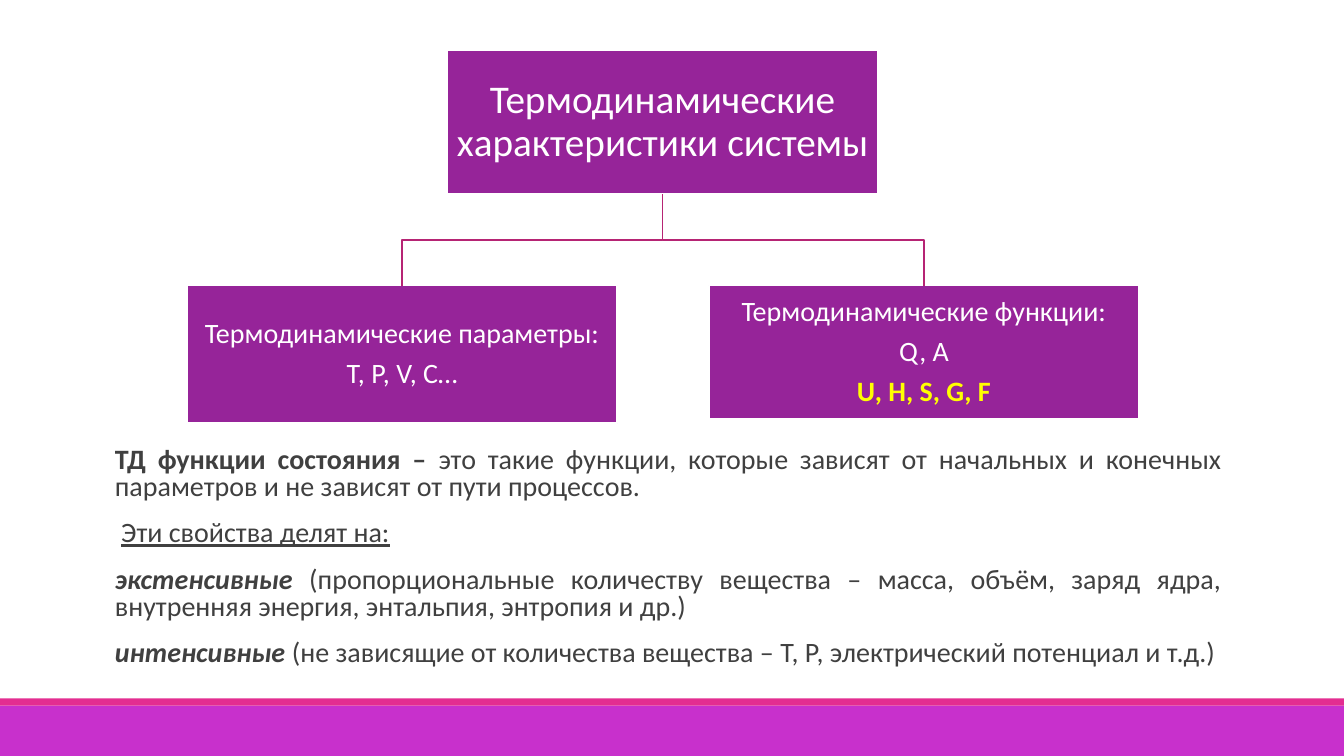
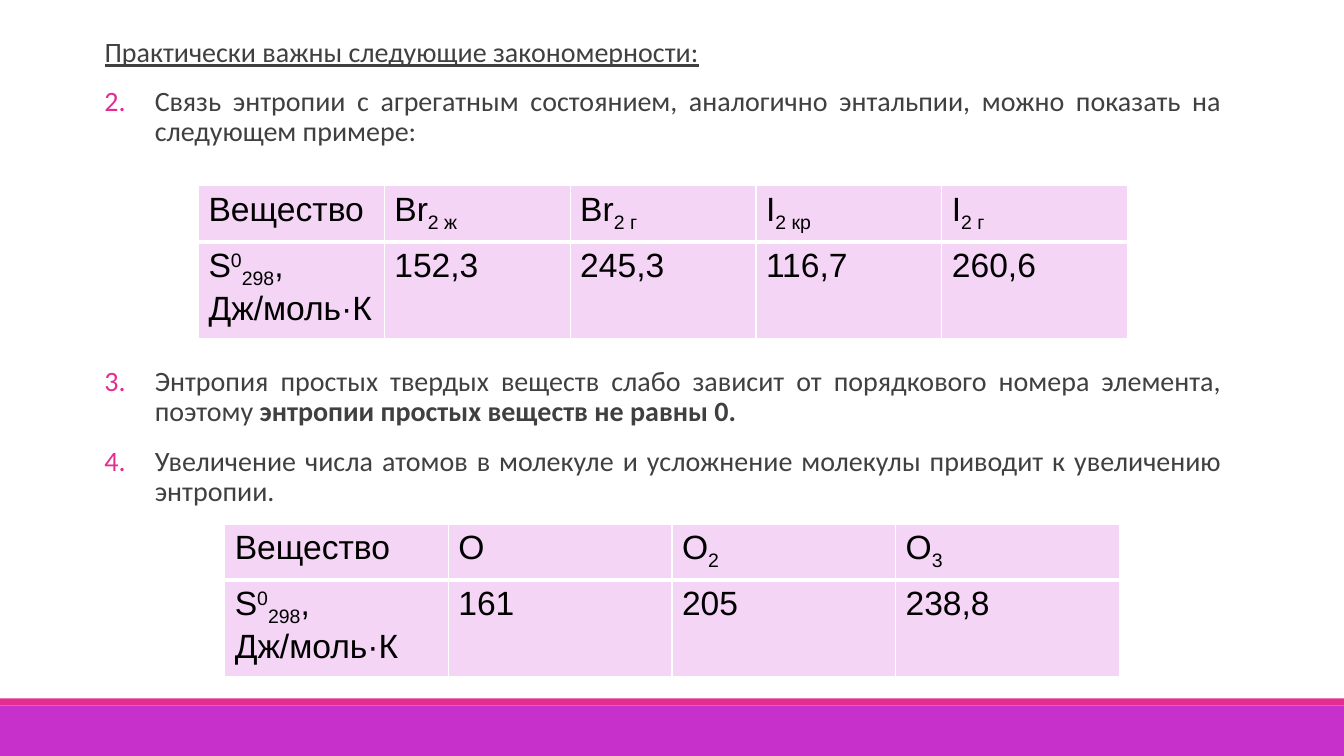
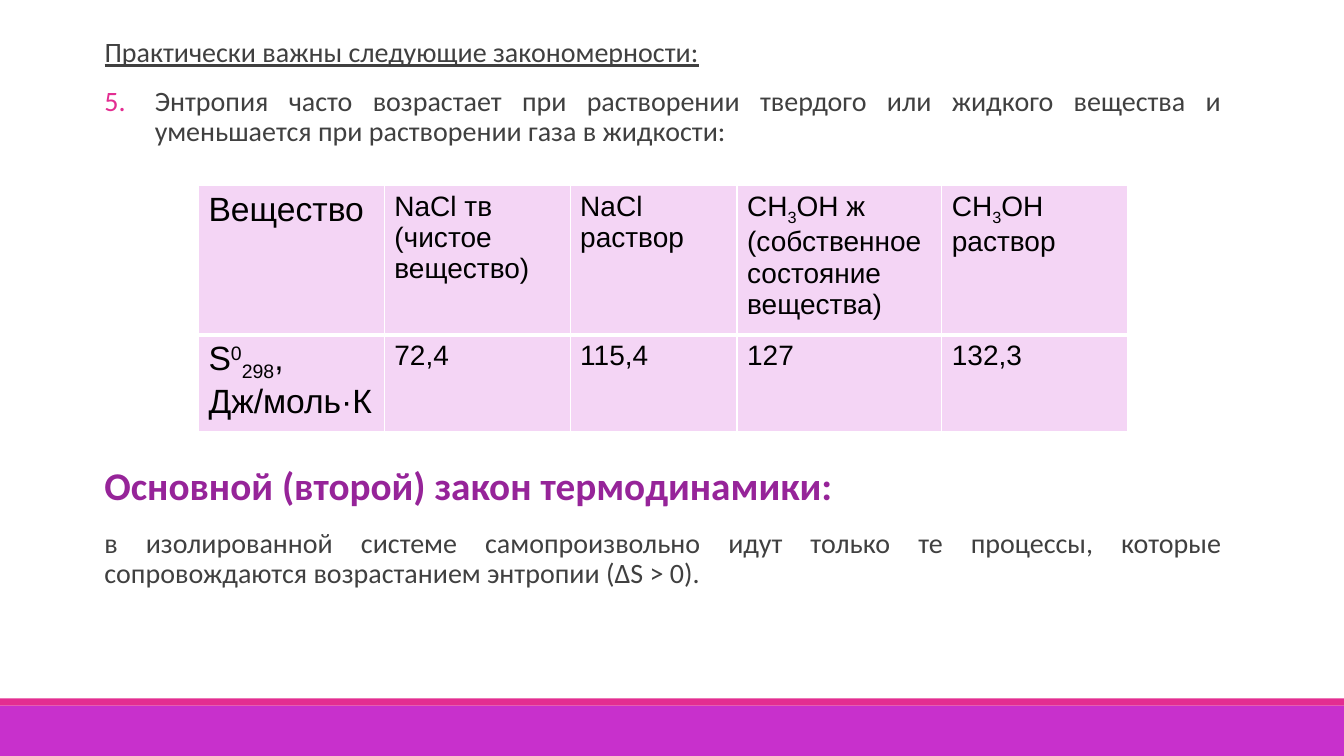
from dataclasses import dataclass, field

from lxml.etree import SubElement
from pptx import Presentation
from pptx.dml.color import RGBColor
from pptx.enum.shapes import MSO_CONNECTOR as Link, MSO_SHAPE as Form
from pptx.enum.text import MSO_ANCHOR as Anchor, MSO_AUTO_SIZE as Fit, PP_ALIGN as Align
from pptx.oxml.ns import qn
from pptx.util import Emu, Pt

PX = 9525
WHITE, BLACK, GRAY, YELLOW = "FFFFFF", "000000", "404040", "FFFF00"
PLUM, VIOLET, PINK, WINE, LILAC = "962499", "C830CC", "E32D91", "B62474", "F4D5F5"

BODY = {"name": "Calibri", "size": Pt(20), "color": GRAY, "bold": False}
BOX = BODY | {"color": WHITE}
GRID = {"name": "Arial", "size": Pt(24), "color": BLACK, "bold": False}
SMALL = {"size": Pt(20)}
BOLD = {"bold": True}
TERM = {"bold": True, "italic": True}
UNDER = {"underline": True}

LEFT, WIDE = 90, 1083
ROW = 39
HEAD = "Практически важны следующие закономерности:"


@dataclass
class Run:
    text: str
    look: dict = field(default_factory=dict)
    shift: int = 0


@dataclass
class Para:
    runs: list[Run]
    start: int = 0


@dataclass
class Node:
    left: int
    top: int
    high: int
    paras: list[Para]
    wide: int = 410

    @property
    def mid(self) -> int:
        return self.left + self.wide // 2

    @property
    def base(self) -> int:
        return self.top + self.high


@dataclass
class Grid:
    left: int
    top: int
    high: int
    cols: list[int]
    cells: list[list[list[Run]]]


def px(*nums: float) -> list[Emu]:
    return [Emu(int(num * PX)) for num in nums]


def rgb(code: str) -> RGBColor:
    return RGBColor.from_string(code)


def plain(text: str, look: dict | None = None) -> list[Run]:
    return [Run(text, look or {})]


def sub(text: str, look: dict | None = None) -> Run:
    return Run(text, look or {}, -25)


def style(font, look: dict) -> None:
    for key, val in look.items():
        if key == "color":
            font.color.rgb = rgb(val)
        else:
            setattr(font, key, val)


def put(para, runs: list[Run], base: dict) -> None:
    for item in runs:
        run = para.add_run()
        run.text = item.text
        style(run.font, base | item.look)
        if item.shift:
            run.font._element.set("baseline", str(item.shift * 1000))


def number(para, start: int) -> None:
    """Give a paragraph a hanging number in the accent colour."""
    props = para._p.get_or_add_pPr()
    step = 48 * PX
    props.set("marL", str(step))
    props.set("indent", str(-step))
    tint = SubElement(props, qn("a:buClr"))
    SubElement(tint, qn("a:srgbClr"), val=PINK)
    SubElement(props, qn("a:buAutoNum"), type="arabicPeriod", startAt=str(start))


def fill_text(frame, paras: list[Para], base: dict, align: Align, line: float, gap: int) -> None:
    frame.word_wrap = True
    for pos, item in enumerate(paras):
        para = frame.add_paragraph() if pos else frame.paragraphs[0]
        if item.start:
            number(para, item.start)
        para.alignment = align
        para.line_spacing = line
        para.space_before = Pt(gap if pos else 0)
        put(para, item.runs, base)


def add_text(slide, left: int, top: int, wide: int, high: int,
             paras: list[Para], line: float = 0.9) -> None:
    box = slide.shapes.add_textbox(*px(left, top, wide, high))
    fill_text(box.text_frame, paras, BODY, Align.JUSTIFY, line, 14)


def add_head(slide) -> None:
    title = slide.shapes.title
    title.left, title.top, title.width, title.height = px(LEFT, 32, WIDE, 40)
    frame = title.text_frame
    frame.auto_size = Fit.NONE
    frame.vertical_anchor = Anchor.TOP
    fill_text(frame, [Para(plain(HEAD, UNDER))], BODY, Align.LEFT, 0.9, 0)


def add_rect(slide, left: int, top: int, wide: int, high: int, color: str):
    rect = slide.shapes.add_shape(Form.RECTANGLE, *px(left, top, wide, high))
    rect.shadow.inherit = False
    rect.fill.solid()
    rect.fill.fore_color.rgb = rgb(color)
    rect.line.fill.background()
    return rect


def add_node(slide, node: Node):
    rect = add_rect(slide, node.left, node.top, node.wide, node.high, PLUM)
    rect.line.color.rgb = rgb(WHITE)
    rect.line.width = Pt(1.25)
    frame = rect.text_frame
    frame.vertical_anchor = Anchor.MIDDLE
    for side in ("left", "top", "right", "bottom"):
        setattr(frame, f"margin_{side}", Emu(2 * PX))
    fill_text(frame, node.paras, BOX, Align.CENTER, 0.9, 7)
    return rect


def add_elbow(slide, root: Node, kid: Node, top, rect) -> None:
    """Join root to kid by an elbow that is turned to leave downwards."""
    line = slide.shapes.add_connector(Link.ELBOW, *px(root.mid, root.base, kid.mid, kid.top))
    line.begin_connect(top, 2)
    line.end_connect(rect, 0)
    wide, high = kid.top - root.base, abs(kid.mid - root.mid)
    right = kid.mid > root.mid
    line.element.flipH = right
    line.rotation = 270 if right else 90
    x, y = (root.mid + kid.mid - wide) / 2, (root.base + kid.top - high) / 2
    line.left, line.top, line.width, line.height = px(x, y, wide, high)
    line.line.color.rgb = rgb(WINE)
    line.line.width = Pt(1.25)
    SubElement(line.element.spPr, qn("a:effectLst"))


def add_tree(slide, root: Node, kids: list[Node]) -> None:
    top = add_node(slide, root)
    for kid in kids:
        add_elbow(slide, root, kid, top, add_node(slide, kid))


def edge(cell, base: int) -> None:
    """Draw white cell borders, the bottom one as thick as given."""
    props = cell._tc.get_or_add_tcPr()
    for pos, (tag, wide) in enumerate((("lnL", 1), ("lnR", 1), ("lnT", 1), ("lnB", base))):
        line = SubElement(props, qn(f"a:{tag}"), w=str(Pt(wide)))
        tint = SubElement(SubElement(line, qn("a:solidFill")), qn("a:srgbClr"))
        tint.set("val", WHITE)
        props.insert(pos, line)


def add_grid(slide, grid: Grid) -> None:
    size = px(grid.left, grid.top, sum(grid.cols), grid.high)
    frame = slide.shapes.add_table(len(grid.cells), len(grid.cols), *size)
    table = frame.table
    table.first_row = table.horz_banding = False
    for col, wide in zip(table.columns, px(*grid.cols)):
        col.width = wide
    for row in table.rows:
        row.height = Emu(ROW * PX)
    frame.height = size[-1]
    for y, row in enumerate(grid.cells):
        for x, runs in enumerate(row):
            cell = table.cell(y, x)
            cell.fill.solid()
            cell.fill.fore_color.rgb = rgb(LILAC)
            edge(cell, 1 if y else 3)
            put(cell.text_frame.paragraphs[0], runs, GRID)


def add_bands(prs, slide) -> None:
    """Place the two footer bands on the master that all slides share."""
    bands = ((672, 48, VIOLET), (665, 7, PINK))
    for num, (top, high, color) in enumerate(bands, 90):
        band = add_rect(slide, 0, top, 1280, high, color)
        band.element.nvSpPr.cNvPr.id = num
        prs.slide_master.shapes.element.append(band.element)


NAME = plain("Вещество")
UNIT = [Run("S"), Run("0", shift=30), sub("298"), Run(", Дж/моль·К")]


def values(look: dict, *nums: str) -> list[list[Run]]:
    return [UNIT] + [plain(num, look) for num in nums]


def states(slide) -> None:
    root = Node(426, 48, 137, [Para(plain("Термодинамические характеристики системы", {"size": Pt(28)}))])
    kids = [
        Node(178, 272, 131, [Para(plain("Термодинамические параметры:")), Para(plain("Т, Р, V, С…"))]),
        Node(675, 272, 127, [Para(plain("Термодинамические функции:")), Para(plain("Q, A")),
                             Para(plain("U, H, S, G, F", BOLD | {"color": YELLOW}))]),
    ]
    add_tree(slide, root, kids)
    add_text(slide, LEFT + 10, 422, WIDE - 10, 235, [
        Para([Run("ТД функции состояния – ", BOLD),
              Run("это такие функции, которые зависят от начальных и конечных "
                  "параметров и не зависят от пути процессов.")]),
        Para([Run(" "), Run("Эти свойства делят на:", UNDER)]),
        Para([Run("экстенсивные", TERM),
              Run(" (пропорциональные количеству вещества – масса, объём, заряд ядра, "
                  "внутренняя энергия, энтальпия, энтропия и др.)")]),
        Para([Run("интенсивные ", TERM),
              Run("(не зависящие от количества вещества – Т, Р, электрический потенциал и т.д.)")]),
    ], 0.8)


def phases(slide) -> None:
    add_head(slide)
    add_text(slide, LEFT, 78, WIDE, 70, [
        Para(plain("Связь энтропии с агрегатным состоянием, аналогично энтальпии, "
                   "можно показать на следующем примере:"), 2)])
    add_text(slide, LEFT, 345, WIDE, 146, [
        Para([Run("Энтропия простых твердых веществ слабо зависит от порядкового номера элемента, поэтому "),
              Run("энтропии простых веществ не равны 0.", BOLD)], 3),
        Para(plain("Увеличение числа атомов в молекуле и усложнение молекулы "
                   "приводит к увеличению энтропии."), 3)])
    forms = (("Br", "2 ж"), ("Br", "2 г"), ("I", "2 кр"), ("I", "2 г"))
    add_grid(slide, Grid(189, 177, 134, [177] * 5, [
        [NAME] + [[Run(atom), sub(mark)] for atom, mark in forms],
        values({}, "152,3", "245,3", "116,7", "260,6")]))
    add_grid(slide, Grid(214, 499, 134, [213] * 4, [
        [NAME, plain("O"), [Run("O"), sub("2")], [Run("O"), sub("3")]],
        values({}, "161", "205", "238,8")]))


def second_law(slide) -> None:
    add_head(slide)
    add_text(slide, LEFT, 78, WIDE, 70, [
        Para(plain("Энтропия часто возрастает при растворении твердого или жидкого вещества "
                   "и уменьшается при растворении газа в жидкости:"), 5)])
    add_text(slide, LEFT, 440, WIDE, 130, [
        Para(plain("Основной (второй) закон термодинамики:",
                   BOLD | {"size": Pt(28), "color": PLUM})),
        Para(plain("в изолированной системе самопроизвольно идут только те процессы, "
                   "которые сопровождаются возрастанием энтропии (ΔS > 0)."))])
    salts = [plain(text, SMALL) for text in ("NaCl тв (чистое вещество)", "NaCl раствор")]
    spirits = [[Run("CH", SMALL), sub("3", SMALL), Run(text, SMALL)]
               for text in ("OH ж (собственное состояние вещества)", "OH раствор")]
    add_grid(slide, Grid(189, 177, 224, [177, 177, 159, 195, 177], [
        [NAME] + salts + spirits,
        values(SMALL, "72,4", "115,4", "127", "132,3")]))


def main() -> None:
    prs = Presentation()
    prs.slide_width, prs.slide_height = px(1280, 720)
    title_only, blank = prs.slide_layouts[5], prs.slide_layouts[6]
    first = prs.slides.add_slide(blank)
    add_bands(prs, first)
    states(first)
    for build in (phases, second_law):
        build(prs.slides.add_slide(title_only))
    prs.save("out.pptx")


if __name__ == "__main__":
    main()
